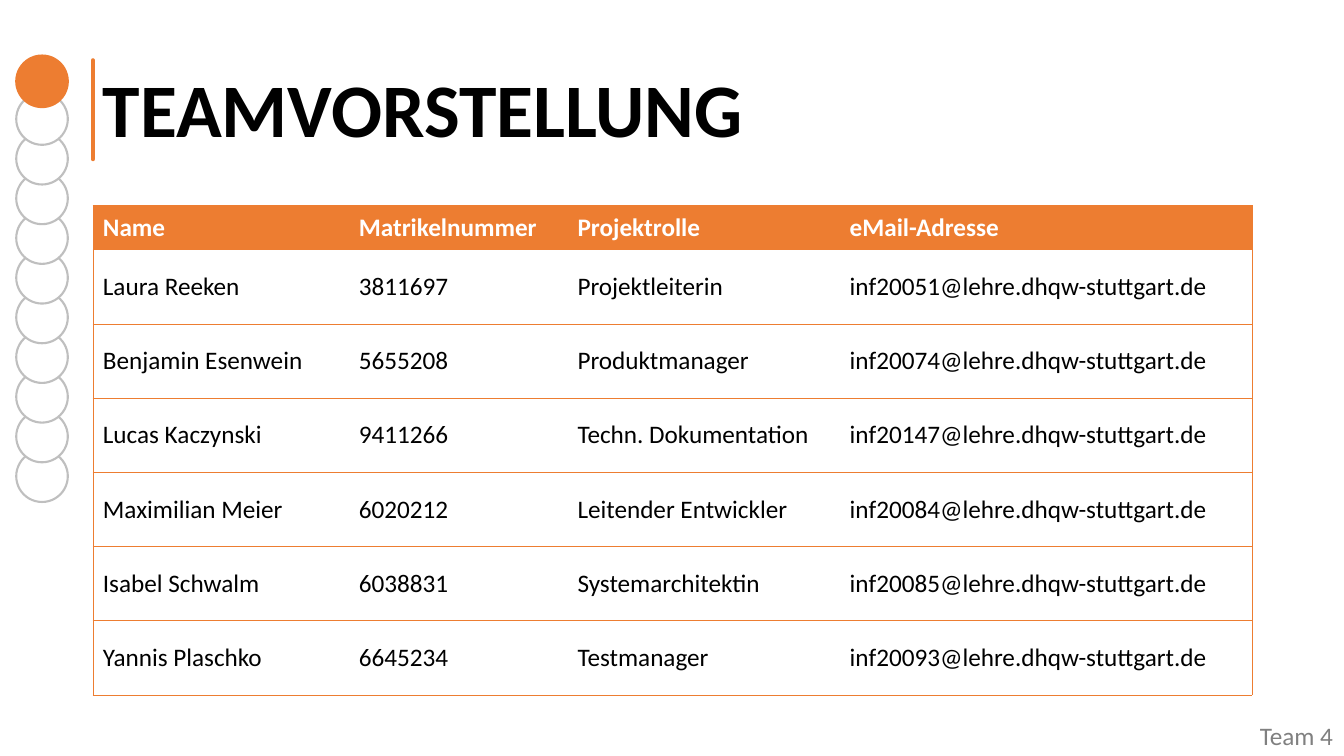
from dataclasses import dataclass

from lxml import etree
from pptx import Presentation
from pptx import util as u
from pptx.dml.color import RGBColor
from pptx.enum import shapes, text
from pptx.oxml import ns

NO_TABLE_STYLE = "{2D5ABB26-0587-4C30-8999-92F81FD0307C}"
MAIL_DOMAIN = "lehre.dhqw-stuttgart.de"
HEADER = ("Name", "Matrikelnummer", "Projektrolle", "eMail-Adresse")
TEAM = [
    ("Laura Reeken", "3811697", "Projektleiterin", "inf20051"),
    ("Benjamin Esenwein", "5655208", "Produktmanager", "inf20074"),
    ("Lucas Kaczynski", "9411266", "Techn. Dokumentation", "inf20147"),
    ("Maximilian Meier", "6020212", "Leitender Entwickler", "inf20084"),
    ("Isabel Schwalm", "6038831", "Systemarchitektin", "inf20085"),
    ("Yannis Plaschko", "6645234", "Testmanager", "inf20093"),
]


@dataclass(frozen=True)
class Theme:
    """Colours, font and type sizes of the slide."""
    accent: str = "ED7D31"
    ring: str = "BFBFBF"
    ink: str = "000000"
    paper: str = "FFFFFF"
    muted: str = "808080"
    font: str = "Calibri"
    title: int = 54
    body: int = 18


class SlideBuilder:
    """Draws styled elements on the current slide."""

    def __init__(self, slide, theme):
        """Keep the slide and its theme."""
        self.s = slide
        self.theme = theme

    def style(self, p, size, color, bold=False):
        """Set the font of a paragraph."""
        p.font.name = self.theme.font
        p.font.size = u.Pt(size)
        p.font.bold = bold
        p.font.color.rgb = RGBColor.from_string(color)

    def label(self, box, words, size, color, bold=False, wrap=True,
              anchor=text.MSO_ANCHOR.TOP, spacing=1.0):
        """Add a text box with one paragraph."""
        tf = self.s.shapes.add_textbox(*map(u.Cm, box)).text_frame
        tf.word_wrap = wrap
        tf.vertical_anchor = anchor
        p = tf.paragraphs[0]
        p.text = words
        p.line_spacing = spacing
        self.style(p, size, color, bold)

    def bar(self, x, top, bottom):
        """Add a vertical accent line with round ends."""
        sp = self.s.shapes.add_connector(
            shapes.MSO_CONNECTOR.STRAIGHT, *map(u.Cm, (x, bottom, x, top)))
        sp.line.color.rgb = RGBColor.from_string(self.theme.accent)
        sp.line.width = u.Pt(3)
        sp.line._get_or_add_ln().set("cap", "rnd")
        etree.SubElement(sp._element.spPr, ns.qn("a:effectLst"))

    def circle(self, x, y, size, fill, line):
        """Add an outlined circle."""
        sp = self.s.shapes.add_shape(
            shapes.MSO_SHAPE.OVAL, *map(u.Cm, (x, y, size, size)))
        sp.shadow.inherit = False
        sp.fill.solid()
        sp.fill.fore_color.rgb = RGBColor.from_string(fill)
        sp.line.color.rgb = RGBColor.from_string(line)
        sp.line.width = u.Pt(1.5)

    def borders(self, cell, sides):
        """Draw thin accent borders on the given sides of a cell."""
        tc_pr = cell._tc.get_or_add_tcPr()
        for i, side in enumerate(sides):
            ln = etree.Element(ns.qn(f"a:ln{side}"), w=str(u.Pt(0.5)))
            fill = etree.SubElement(ln, ns.qn("a:solidFill"))
            etree.SubElement(fill, ns.qn("a:srgbClr"), val=self.theme.accent)
            tc_pr.insert(i, ln)

    def table(self, left, top, widths, heights, rows):
        """Add a table with a filled header and ruled rows."""
        t = self.theme
        table = self.s.shapes.add_table(
            len(rows), len(widths),
            *map(u.Cm, (left, top, sum(widths), sum(heights)))).table
        table._tbl.tblPr.find(ns.qn("a:tableStyleId")).text = NO_TABLE_STYLE
        table.horz_banding = False
        for column, width in zip(table.columns, widths):
            column.width = u.Cm(width)
        for i, (values, height) in enumerate(zip(rows, heights)):
            table.rows[i].height = u.Cm(height)
            head = i == 0
            for j, value in enumerate(values):
                cell = table.cell(i, j)
                cell.text = value
                cell.vertical_anchor = text.MSO_ANCHOR.MIDDLE
                self.style(cell.text_frame.paragraphs[0], t.body,
                           t.paper if head else t.ink, head)
                if head:
                    cell.fill.solid()
                    cell.fill.fore_color.rgb = RGBColor.from_string(t.accent)
                else:
                    cell.fill.background()
                left_side = "L" if j == 0 else ""
                right_side = "R" if j == len(values) - 1 else ""
                self.borders(cell, left_side + right_side + "TB")


def main():
    """Build and save the team slide."""
    prs = Presentation()
    prs.slide_width, prs.slide_height = u.Cm(33.87), u.Cm(19.05)
    theme = Theme()
    page = SlideBuilder(prs.slides.add_slide(prs.slide_layouts[6]), theme)

    margin = 2.34
    page.label((margin, 1.02, 29.21, 3.68), "TEAMVORSTELLUNG", theme.title,
               theme.ink, bold=True, anchor=text.MSO_ANCHOR.MIDDLE,
               spacing=0.9)
    members = [(*who, f"{user}@{MAIL_DOMAIN}") for *who, user in TEAM]
    page.table(margin, 5.18, (6.45, 5.51, 6.86, 10.39),
               [1.11] + [1.87] * len(TEAM), [HEADER, *members])
    page.label((31.5, 18.03, 2.39, 1.02), "Team 4", theme.body, theme.muted,
               wrap=False)
    page.bar(margin, 1.52, 4.01)

    for step in reversed(range(10)):
        page.circle(0.41, 2.35 + step, 1.3, theme.paper, theme.ring)
    page.circle(0.41, 1.4, 1.3, theme.accent, theme.accent)
    prs.save("out.pptx")


if __name__ == "__main__":
    main()
